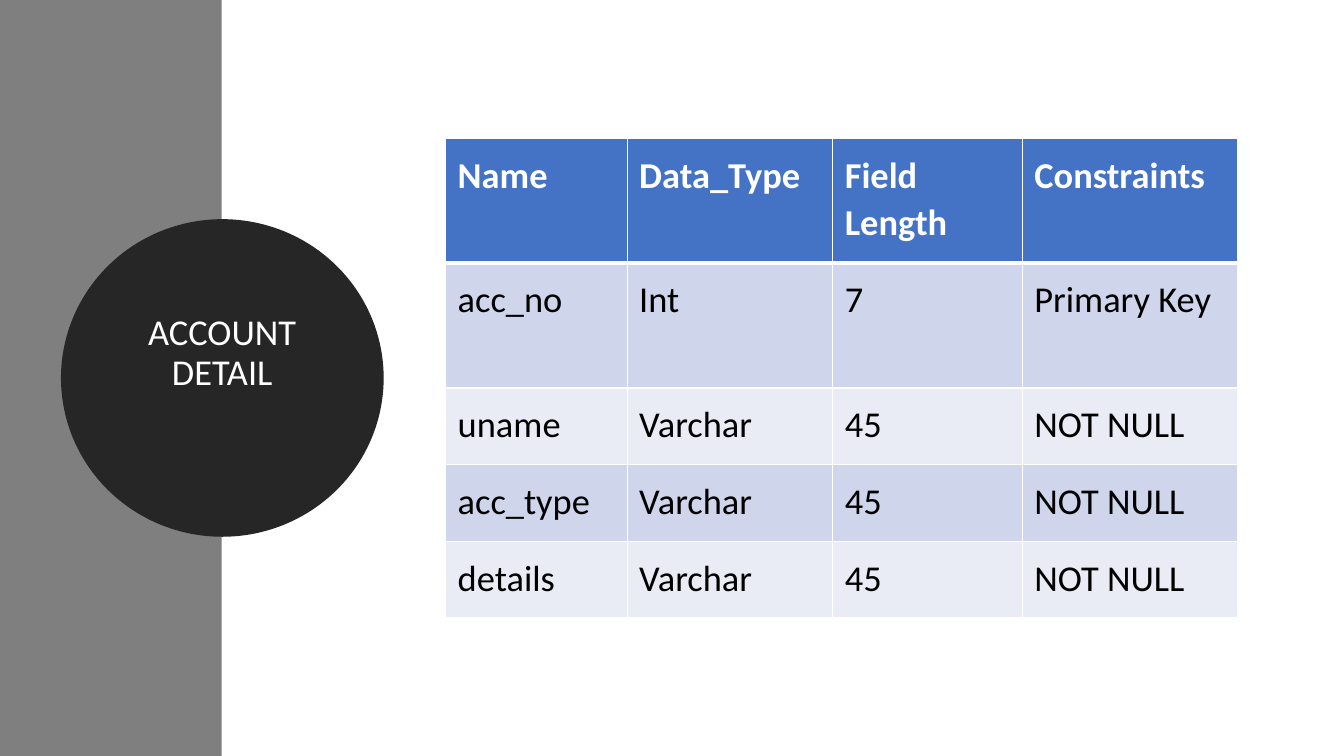
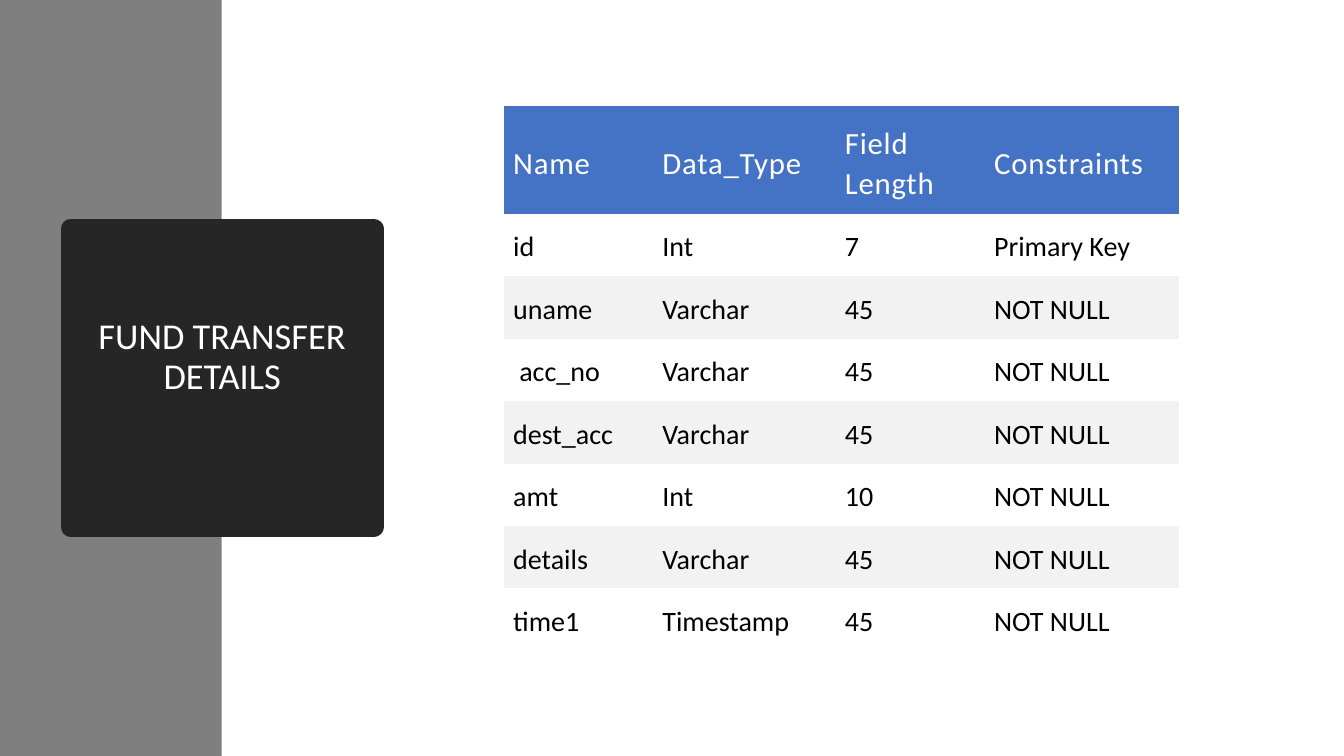
import lxml.etree
import pptx
import pptx.dml.color
import pptx.enum.shapes
import pptx.enum.text
import pptx.oxml.ns
import pptx.util

Inches = pptx.util.Inches
Pt = pptx.util.Pt
RGBColor = pptx.dml.color.RGBColor
Shape = pptx.enum.shapes.MSO_SHAPE
Anchor = pptx.enum.text.MSO_ANCHOR
Align = pptx.enum.text.PP_ALIGN
qn = pptx.oxml.ns.qn

# Shared style
FONT = "Calibri"
WHITE = RGBColor(0xFF, 0xFF, 0xFF)
BLACK = RGBColor(0x00, 0x00, 0x00)
BAND_GRAY = RGBColor(0x7F, 0x7F, 0x7F)
BADGE_DARK = RGBColor(0x26, 0x26, 0x26)
HEADER_BLUE = RGBColor(0x44, 0x72, 0xC4)
ROW_BLUE = RGBColor(0xCF, 0xD5, 0xEA)
ROW_PALE = RGBColor(0xE9, 0xEB, 0xF5)
ROW_GRAY = RGBColor(0xF2, 0xF2, 0xF2)
PLAIN_TABLE_STYLE = "{2D5ABB26-0587-4C30-8999-92F81FD0307C}"

# Content
HEADER = ("Name", "Data_Type", "Field Length", "Constraints")
SLIDES = [
    {
        "title": "ACCOUNT DETAIL",
        "badge": Shape.OVAL,
        "title_lift": 0.53,
        "rows": [
            ("acc_no", "Int", "7", "Primary Key"),
            ("uname", "Varchar", "45", "NOT NULL"),
            ("acc_type", "Varchar", "45", "NOT NULL"),
            ("details", "Varchar", "45", "NOT NULL"),
        ],
        "position": (4.42, 1.37),
        "column_widths": (1.8, 2.04, 1.88, 2.14),
        "row_heights": (1.24, 1.24, 0.76, 0.76, 0.76),
        "margins": (0.12, 0.12, 0.12, 0.12),
        "row_fills": (ROW_BLUE, ROW_PALE),
        "header_format": {"size": 26, "bold": True},
        "header_anchor": Anchor.TOP,
        "body_size": 26,
        "grid": True,
        "indents": {},
    },
    {
        "title": "FUND TRANSFER DETAILS",
        "badge": Shape.RECTANGLE,
        "title_lift": 0.45,
        "rows": [
            ("id", "Int", "7", "Primary Key"),
            ("uname", "Varchar", "45", "NOT NULL"),
            ("acc_no", "Varchar", "45", "NOT NULL"),
            ("dest_acc", "Varchar", "45", "NOT NULL"),
            ("amt", "Int", "10", "NOT NULL"),
            ("details", "Varchar", "45", "NOT NULL"),
            ("time1", "Timestamp", "45", "NOT NULL"),
        ],
        "position": (5, 1.05),
        "column_widths": (1.48, 1.81, 1.48, 1.92),
        "row_heights": (1.07,) + (0.62,) * 7,
        "margins": (0.09, 0.14, 0.09, 0.09),
        "row_fills": (None, ROW_GRAY),
        "header_format": {"size": 22, "tracking": 0.6},
        "header_anchor": Anchor.MIDDLE,
        "body_size": 20,
        "grid": False,
        "indents": {(3, 0): 0.06},
    },
]


def write_text(text_frame, text, size, color, bold=False, tracking=0,
               align=Align.LEFT, line_spacing=1.07, space_after=8):
    paragraph = text_frame.paragraphs[0]
    paragraph.alignment = align
    paragraph.line_spacing = line_spacing
    paragraph.space_after = Pt(space_after)
    run = paragraph.add_run()
    run.text = text
    run.font.name = FONT
    run.font.size = Pt(size)
    run.font.bold = bold
    run.font.color.rgb = color
    if tracking:
        run.font._element.set("spc", str(round(tracking * 100)))


def add_filled_shape(slide, kind, left, top, width, height, color):
    shape = slide.shapes.add_shape(
        kind, Inches(left), Inches(top), Inches(width), Inches(height))
    shape.shadow.inherit = False
    shape.fill.solid()
    shape.fill.fore_color.rgb = color
    shape.line.fill.background()
    return shape


def add_badge(slide, kind, title, title_lift):
    badge = add_filled_shape(slide, kind, 0.7, 2.27, 3.01, 2.96, BADGE_DARK)
    badge.line.color.rgb = BADGE_DARK
    badge.line.width = Pt(13.75)
    # Round joins soften the corners of the thick outline
    lxml.etree.SubElement(badge.line._get_or_add_ln(), qn("a:round"))
    text_frame = badge.text_frame
    text_frame.word_wrap = True
    text_frame.vertical_anchor = Anchor.MIDDLE
    text_frame.margin_bottom = Inches(title_lift)
    write_text(text_frame, title, size=26, color=WHITE, align=Align.CENTER,
               line_spacing=0.9, space_after=0)


def add_cell_borders(cell, widths):
    properties = cell._tc.get_or_add_tcPr()
    for side, width in widths.items():
        line = lxml.etree.SubElement(
            properties, qn("a:ln" + side), w=str(Pt(width)))
        fill = lxml.etree.SubElement(line, qn("a:solidFill"))
        lxml.etree.SubElement(fill, qn("a:srgbClr"), val=str(WHITE))


def format_cell(cell, row, column, text, content):
    is_header = row == 0
    left, top, right, bottom = content["margins"]
    cell.margin_left = Inches(left + content["indents"].get((row, column), 0))
    cell.margin_top = Inches(top)
    cell.margin_right = Inches(right)
    cell.margin_bottom = Inches(bottom)
    cell.vertical_anchor = content["header_anchor"] if is_header else Anchor.TOP

    # The rule under the header is thicker than the rest of the grid
    if content["grid"]:
        add_cell_borders(cell, {"L": 1, "R": 1, "T": 3 if row == 1 else 1,
                                "B": 3 if is_header else 1})

    fill_color = HEADER_BLUE if is_header else content["row_fills"][(row - 1) % 2]
    if fill_color is None:
        cell.fill.background()
    else:
        cell.fill.solid()
        cell.fill.fore_color.rgb = fill_color

    if is_header:
        write_text(cell.text_frame, text, color=WHITE, **content["header_format"])
    else:
        write_text(cell.text_frame, text, size=content["body_size"], color=BLACK)


def add_field_table(slide, content):
    rows = [HEADER] + content["rows"]
    widths, heights = content["column_widths"], content["row_heights"]
    left, top = content["position"]
    table = slide.shapes.add_table(
        len(rows), len(HEADER), Inches(left), Inches(top),
        Inches(sum(widths)), Inches(sum(heights))).table
    table.horz_banding = False
    table._tbl.tblPr.find(qn("a:tableStyleId")).text = PLAIN_TABLE_STYLE
    for column, width in zip(table.columns, widths):
        column.width = Inches(width)
    for row, height in zip(table.rows, heights):
        row.height = Inches(height)
    for row, texts in enumerate(rows):
        for column, text in enumerate(texts):
            format_cell(table.cell(row, column), row, column, text, content)


def main():
    presentation = pptx.Presentation()
    presentation.slide_width = Inches(13.33)
    presentation.slide_height = Inches(7.5)
    for content in SLIDES:
        slide = presentation.slides.add_slide(presentation.slide_layouts[6])
        add_filled_shape(slide, Shape.RECTANGLE, 0, 0, 2.2, 7.5, BAND_GRAY)
        add_badge(slide, content["badge"], content["title"], content["title_lift"])
        add_field_table(slide, content)
    presentation.save("out.pptx")


if __name__ == "__main__":
    main()
